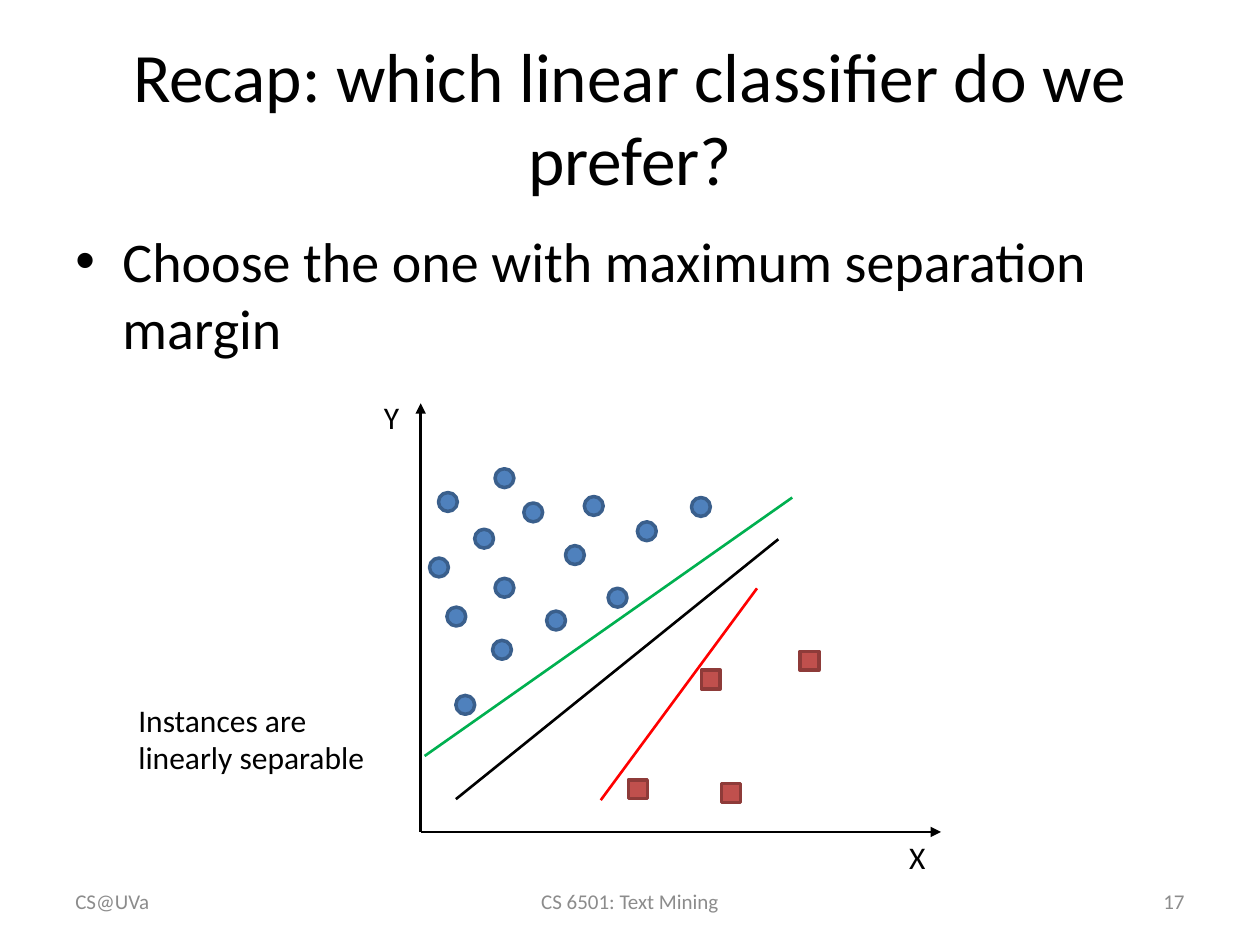
from lxml.etree import SubElement
from pptx import Presentation
from pptx.dml.color import RGBColor
from pptx.enum.shapes import MSO_CONNECTOR, MSO_SHAPE
from pptx.enum.text import MSO_ANCHOR, MSO_AUTO_SIZE, PP_ALIGN
from pptx.oxml.ns import qn
from pptx.util import Cm, Pt

COLORS = {
    "text": "000000", "footer": "8C8C8C",
    "circle": "4F81BD", "circle_edge": "3A5F8C",
    "square": "C0504D", "square_edge": "8E3B39",
    "green": "00B050", "black": "000000", "red": "FF0000",
}
MARKER_SIZE = 0.38

# Top left corners of the markers, in cm from the top of the Y axis
CIRCLES = [
    (1.45, 4.78), (0.53, 4.11), (1.5, 3.53), (2.54, 4.19), (2.08, 2.01),
    (0.71, 5.89), (4.37, 2.39), (2.92, 2.87), (1.09, 2.54), (3.3, 1.88),
    (1.5, 1.32), (3.78, 3.73), (0.36, 1.8), (0.18, 3.12), (5.46, 1.9),
]
SQUARES = [(5.66, 5.38), (7.65, 5), (6.07, 7.67), (4.19, 7.59)]
CLASSIFIERS = [
    ("green", (0.08, 7.11), (7.49, 1.9)),
    ("black", (0.71, 7.98), (7.21, 2.74)),
    ("red", (3.63, 8), (6.78, 3.73)),
]


def color(name):
    return RGBColor.from_string(COLORS[name])


def write_text(shape, text, size=18, color_name="text",
               align=PP_ALIGN.LEFT, anchor=MSO_ANCHOR.TOP, bullet=False):
    frame = shape.text_frame
    frame.word_wrap = True
    frame.auto_size = MSO_AUTO_SIZE.NONE
    frame.vertical_anchor = anchor
    paragraph = frame.paragraphs[0]
    paragraph.text = text
    paragraph.alignment = align
    if bullet:
        properties = paragraph._p.get_or_add_pPr()
        properties.set("marL", str(Cm(0.95)))
        properties.set("indent", str(-Cm(0.95)))
        SubElement(properties, qn("a:buFont"), typeface="Arial")
        SubElement(properties, qn("a:buChar"), char="•")
    font = paragraph.runs[0].font
    font.name = "Calibri"
    font.size = Pt(size)
    font.color.rgb = color(color_name)


def add_text(slide, text, left, top, width, height, **text_format):
    box = slide.shapes.add_textbox(Cm(left), Cm(top), Cm(width), Cm(height))
    write_text(box, text, **text_format)


def add_line(slide, start, end, color_name="black", arrow=False):
    line = slide.shapes.add_connector(
        MSO_CONNECTOR.STRAIGHT, *(Cm(value) for value in (*start, *end)))
    line.line.color.rgb = color(color_name)
    line.line.width = Pt(1.5)
    if arrow:
        SubElement(line.line._get_or_add_ln(), qn("a:tailEnd"), type="triangle")
    SubElement(line._element.spPr, qn("a:effectLst"))


def add_marker(slide, kind, left, top, color_name):
    marker = slide.shapes.add_shape(
        kind, Cm(left), Cm(top), Cm(MARKER_SIZE), Cm(MARKER_SIZE))
    marker.shadow.inherit = False
    marker.fill.solid()
    marker.fill.fore_color.rgb = color(color_name)
    marker.line.color.rgb = color(color_name + "_edge")
    marker.line.width = Pt(2)


def add_heading(slide, left, top, width):
    title = slide.shapes.title
    title.left, title.top = Cm(left), Cm(top)
    title.width, title.height = Cm(width), Cm(3.18)
    write_text(title, "Recap: which linear classifier do we prefer?", size=39.6,
               align=PP_ALIGN.CENTER, anchor=MSO_ANCHOR.MIDDLE)
    add_text(slide, "Choose the one with maximum separation margin",
             left, top + 3.68, width, 12.57, size=32, bullet=True)


def add_plot(slide, left, top, width, height):
    def place(point):
        return left + point[0], top + point[1]

    # Axes and their labels
    origin = place((0, height))
    add_line(slide, origin, place((width, height)), arrow=True)
    add_line(slide, origin, place((0, 0)), arrow=True)
    add_text(slide, "Y", *place((-0.99, -0.23)), 1.52, 1.02)
    add_text(slide, "X", *place((width - 0.89, height)), 1.52, 1.02)

    # Instances of the two classes
    for point in CIRCLES:
        add_marker(slide, MSO_SHAPE.OVAL, *place(point), "circle")
    for point in SQUARES:
        add_marker(slide, MSO_SHAPE.RECTANGLE, *place(point), "square")

    # Candidate classifiers
    for color_name, start, end in CLASSIFIERS:
        add_line(slide, place(start), place(end), color_name)

    # Remark beside the plot
    add_text(slide, "Instances are linearly separable",
             *place((-5.94, 5.87)), 5.92, 1.8)


def add_footer(slide, left, top, width, height):
    side, middle = 5.92, 8.05
    parts = [
        ("CS@UVa", left, side, PP_ALIGN.LEFT),
        ("CS 6501: Text Mining", left + (width - middle) / 2, middle, PP_ALIGN.CENTER),
        ("17", left + width - side, side, PP_ALIGN.RIGHT),
    ]
    for text, part_left, part_width, align in parts:
        add_text(slide, text, part_left, top, part_width, height, size=12,
                 color_name="footer", align=align, anchor=MSO_ANCHOR.MIDDLE)


def main():
    presentation = Presentation()
    presentation.slide_width, presentation.slide_height = Cm(25.4), Cm(19.05)
    slide = presentation.slides.add_slide(presentation.slide_layouts[5])
    add_heading(slide, 1.27, 0.76, 22.86)
    add_footer(slide, 1.27, 17.65, 22.86, 1.02)
    add_plot(slide, 8.48, 8.13, 10.49, 8.64)
    presentation.save("out.pptx")


if __name__ == "__main__":
    main()
